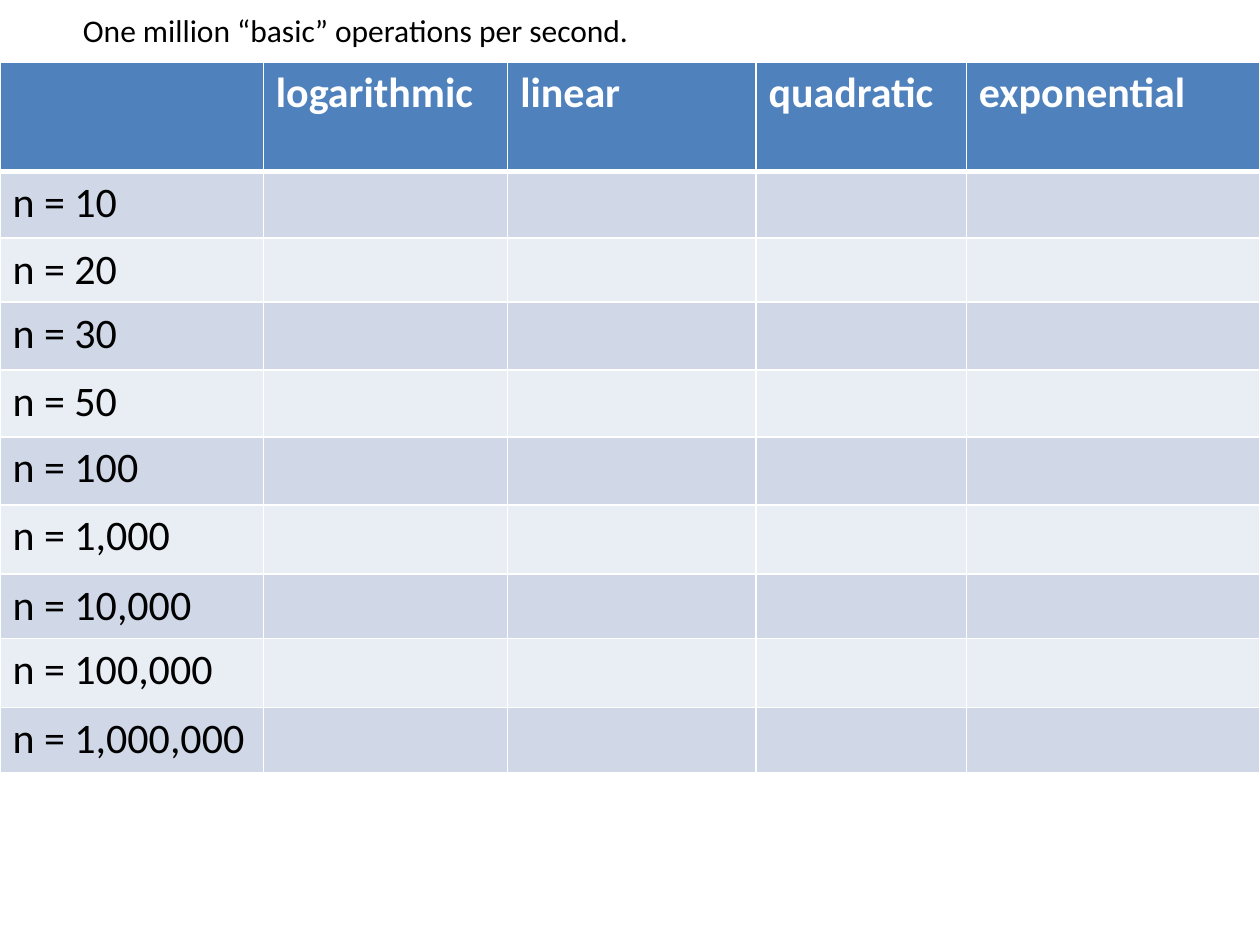
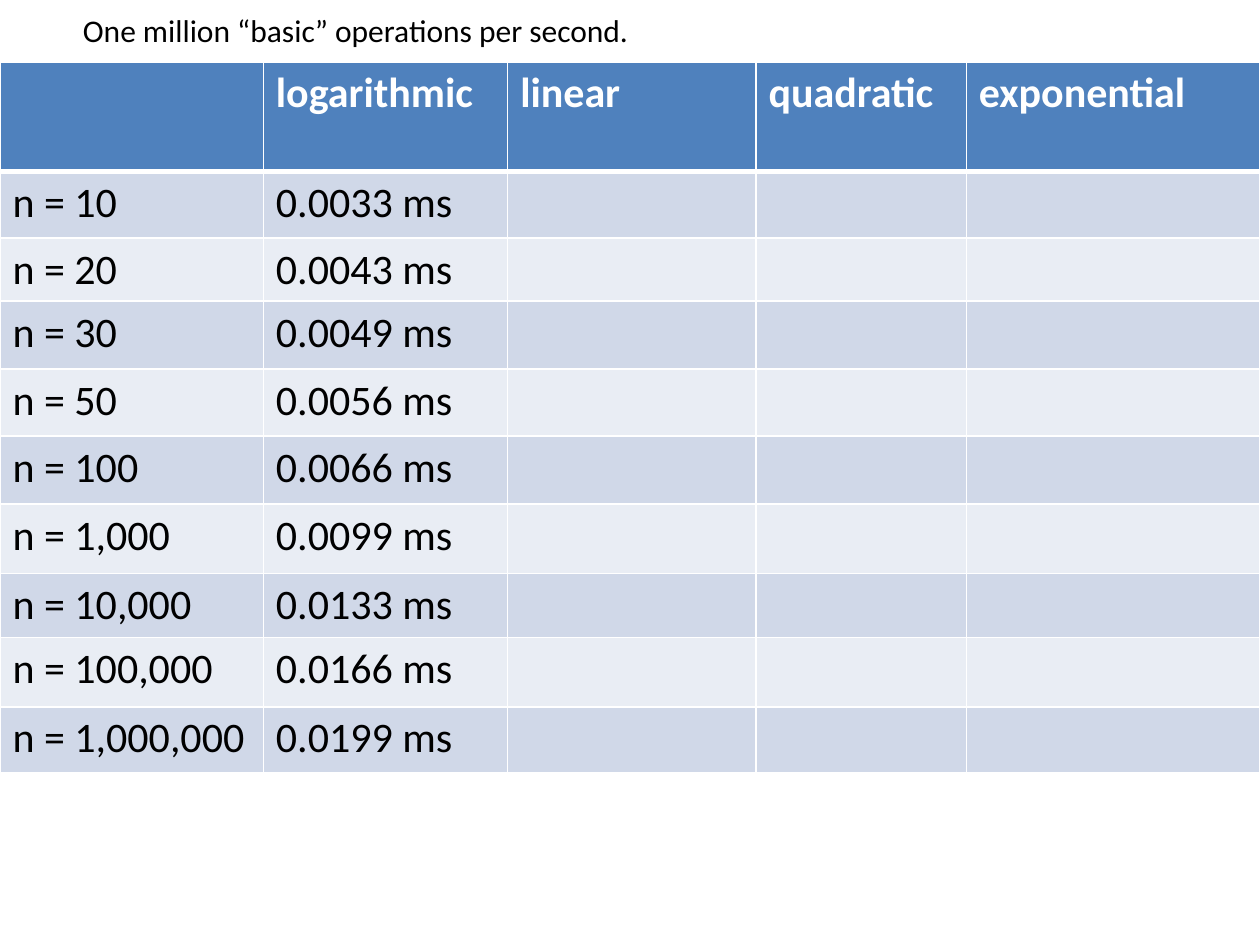
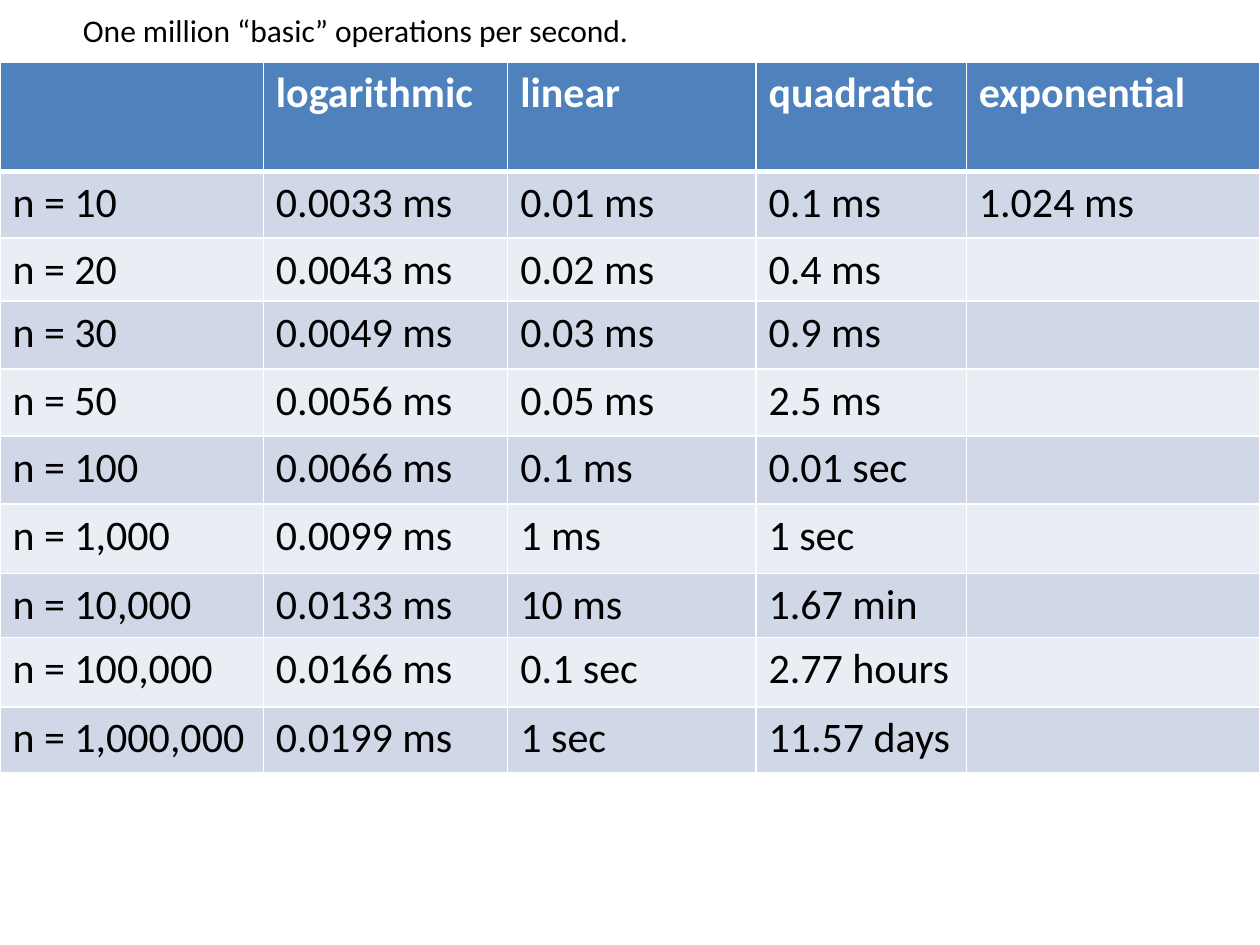
from lxml import etree
from pptx import Presentation
from pptx import util as u
from pptx.dml.color import RGBColor
from pptx.enum import text
from pptx.oxml import ns

COLORS = {
    "header": "4F81BD",
    "odd_row": "D0D8E8",
    "even_row": "E9EDF4",
    "white": "FFFFFF",
    "black": "000000",
}
FONT = "Calibri"
CAPTION = "One million “basic” operations per second."

COLUMN_WIDTHS = [2.09, 1.94, 1.97, 1.67, 2.33]
ROW_HEIGHTS = [0.87, 0.53, 0.49, 0.54, 0.53, 0.54, 0.55, 0.51, 0.55, 0.52]
SIZES = [10, 20, 30, 50, 100, 1_000, 10_000, 100_000, 1_000_000]
RUNNING_TIMES = {
    "logarithmic": ["0.0033 ms", "0.0043 ms", "0.0049 ms", "0.0056 ms", "0.0066 ms",
                    "0.0099 ms", "0.0133 ms", "0.0166 ms", "0.0199 ms"],
    "linear": ["0.01 ms", "0.02 ms", "0.03 ms", "0.05 ms", "0.1 ms",
               "1 ms", "10 ms", "0.1 sec", "1 sec"],
    "quadratic": ["0.1 ms", "0.4 ms", "0.9 ms", "2.5 ms", "0.01 sec",
                  "1 sec", "1.67 min", "2.77 hours", "11.57 days"],
    "exponential": ["1.024 ms"],
}
REVEALED_COLUMNS = [0, 1, 4]


def write_text(frame, content, size=24, color="black", bold=False):
    run = frame.paragraphs[0].add_run()
    run.text = content
    run.font.name = FONT
    run.font.size = u.Pt(size)
    run.font.bold = bold
    run.font.color.rgb = RGBColor.from_string(COLORS[color])


def set_borders(cell, top=1, bottom=1):
    """Draw white cell borders; widths are in points. Call before filling the cell."""
    properties = cell._tc.get_or_add_tcPr()
    for side, width in (("L", 1), ("R", 1), ("T", top), ("B", bottom)):
        line = etree.SubElement(properties, ns.qn(f"a:ln{side}"), w=str(u.Pt(width)))
        fill = etree.SubElement(line, ns.qn("a:solidFill"))
        etree.SubElement(fill, ns.qn("a:srgbClr"), val=COLORS["white"])


def fill_cell(cell, color):
    cell.fill.solid()
    cell.fill.fore_color.rgb = RGBColor.from_string(COLORS[color])


def table_rows(revealed):
    """Return the cell texts, with times only in the first revealed columns."""
    columns = [times if index < revealed else []
               for index, times in enumerate(RUNNING_TIMES.values())]
    rows = [["", *RUNNING_TIMES]]
    for index, size in enumerate(SIZES):
        times = [column[index] if index < len(column) else "" for column in columns]
        rows.append([f"n = {size:,}", *times])
    return rows


def add_times_table(slide, rows):
    table = slide.shapes.add_table(
        len(rows), len(COLUMN_WIDTHS), u.Inches(0), u.Inches(0.49),
        u.Inches(sum(COLUMN_WIDTHS)), u.Inches(sum(ROW_HEIGHTS))).table
    for column, width in zip(table.columns, COLUMN_WIDTHS):
        column.width = u.Inches(width)
    for row, height in zip(table.rows, ROW_HEIGHTS):
        row.height = u.Inches(height)

    for row_index, row in enumerate(rows):
        is_header = row_index == 0
        background = "header" if is_header else "odd_row" if row_index % 2 else "even_row"
        for column_index, content in enumerate(row):
            cell = table.cell(row_index, column_index)
            set_borders(cell, top=3 if row_index == 1 else 1, bottom=3 if is_header else 1)
            fill_cell(cell, background)
            if content:
                write_text(cell.text_frame, content, bold=is_header,
                           color="white" if is_header else "black")


def add_caption(slide):
    box = slide.shapes.add_textbox(
        u.Inches(0.56), u.Inches(0.04), u.Inches(8.8), u.Inches(0.4))
    box.text_frame.word_wrap = True
    box.text_frame.auto_size = text.MSO_AUTO_SIZE.SHAPE_TO_FIT_TEXT
    write_text(box.text_frame, CAPTION, size=18)


def main():
    presentation = Presentation()
    presentation.slide_width = u.Inches(10)
    presentation.slide_height = u.Inches(7.5)
    for revealed in REVEALED_COLUMNS:
        slide = presentation.slides.add_slide(presentation.slide_layouts[6])
        add_times_table(slide, table_rows(revealed))
        add_caption(slide)
    presentation.save("out.pptx")


if __name__ == "__main__":
    main()
